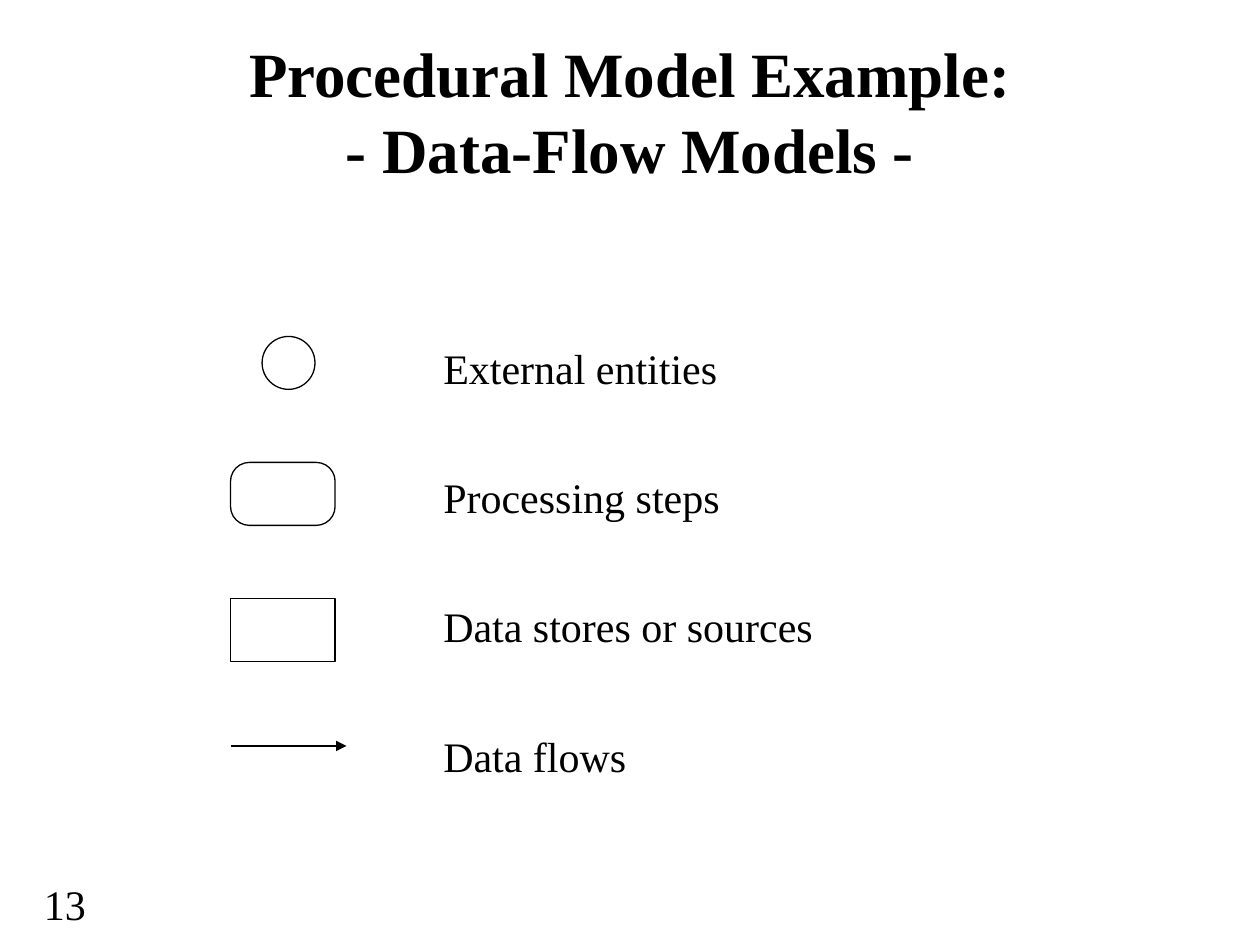
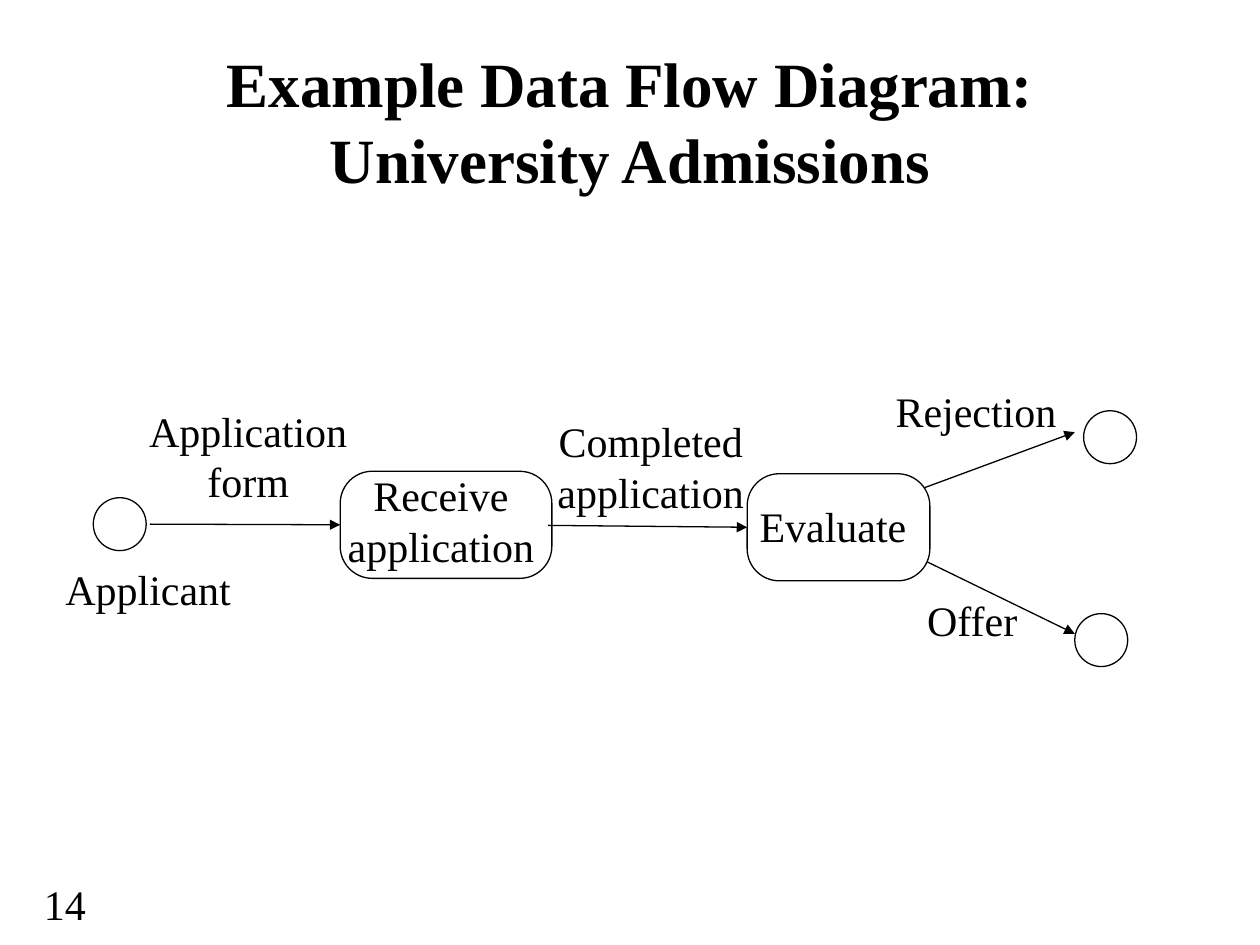
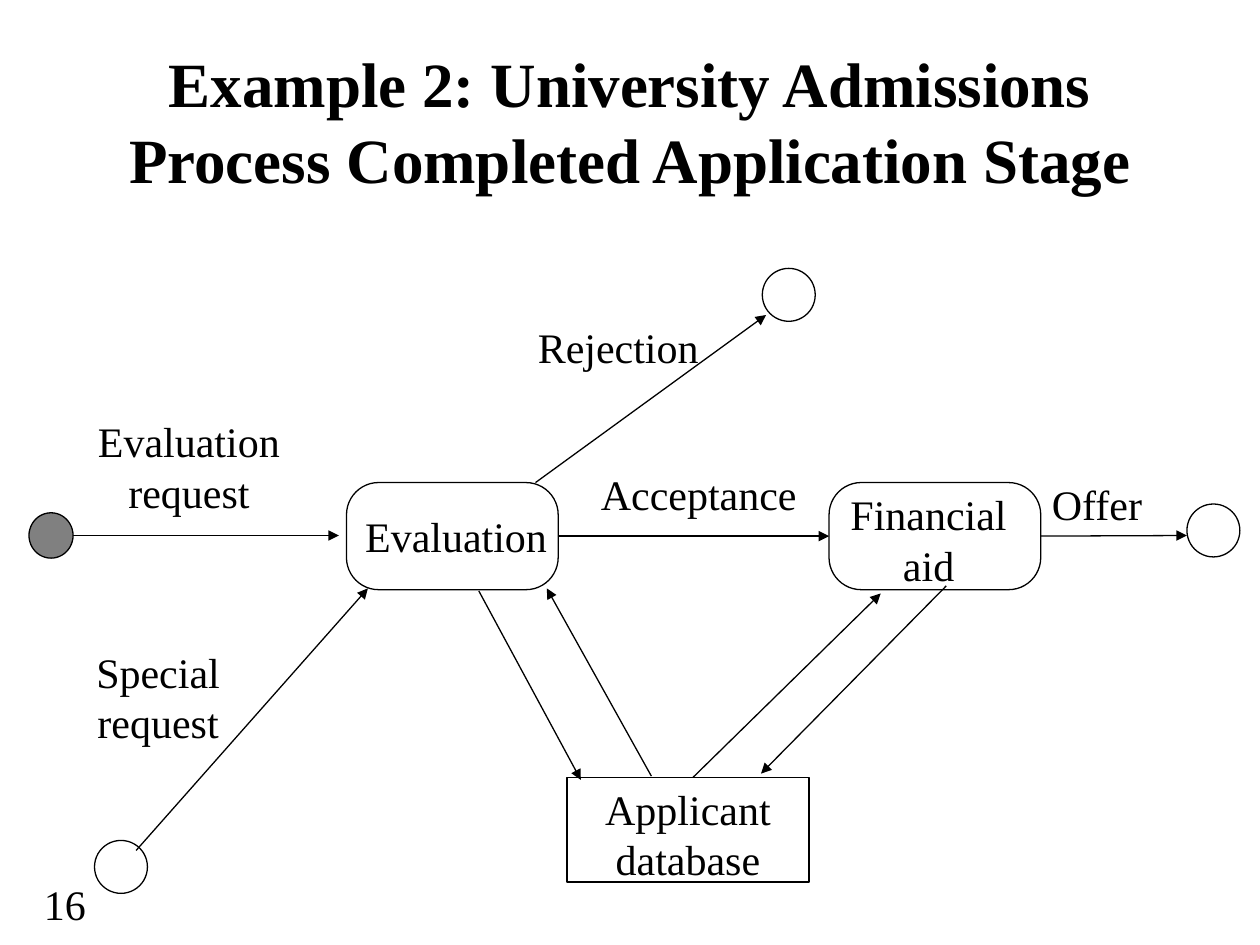
from lxml.etree import SubElement
from pptx import Presentation
from pptx.dml.color import RGBColor
from pptx.enum.shapes import MSO_CONNECTOR, MSO_SHAPE
from pptx.enum.text import MSO_ANCHOR, MSO_AUTO_SIZE, PP_ALIGN
from pptx.oxml.ns import qn
from pptx.util import Inches, Pt

COLORS = {"ink": "000000", "paper": "FFFFFF", "start": "808080"}
FONT = "Times New Roman"
TEXT_SIZE, TITLE_SIZE = 24, 36
LINE_WIDTH = 0.75
CIRCLE = 0.42
JOIN_TOLERANCE = 0.025

ENTITY = MSO_SHAPE.FLOWCHART_CONNECTOR
STEP = MSO_SHAPE.ROUNDED_RECTANGLE
STORE = MSO_SHAPE.FLOWCHART_PROCESS
LEFT, CENTER = PP_ALIGN.LEFT, PP_ALIGN.CENTER

# Content: nodes are (kind, left, top, width, height, fill),
# flows are (start, end), labels are (left, top, width, align, lines)
SLIDES = [
    {
        "number": "13",
        "title": ["Procedural Model Example:", "- Data-Flow Models -"],
        "title_top": 0.25,
        "nodes": [
            (ENTITY, 2.08, 2.67, CIRCLE, CIRCLE, None),
            (STEP, 1.83, 3.67, 0.83, 0.5, None),
            (STORE, 1.83, 4.75, 0.83, 0.5, None),
        ],
        "flows": [((1.83, 5.92), (2.75, 5.92))],
        "labels": [
            (3.42, 2.67, 5.83, LEFT, ["External entities", "Processing steps",
                                      "Data stores or sources", "Data flows"]),
        ],
        "label_gap": 45,
    },
    {
        "number": "14",
        "title": ["Example Data Flow Diagram: University Admissions"],
        "title_top": 0.33,
        "nodes": [
            (ENTITY, 0.74, 3.95, CIRCLE, CIRCLE, None),
            (STEP, 2.7, 3.74, 1.68, 0.85, None),
            (STEP, 5.93, 3.76, 1.45, 0.85, "paper"),
            (ENTITY, 8.6, 3.26, CIRCLE, CIRCLE, None),
            (ENTITY, 8.53, 4.87, CIRCLE, CIRCLE, None),
        ],
        "flows": [
            ((1.19, 4.16), (2.7, 4.16)),
            ((4.35, 4.17), (5.95, 4.18)),
            ((7.34, 3.87), (8.53, 3.43)),
            ((7.36, 4.46), (8.53, 5.03)),
        ],
        "labels": [
            (0.42, 4.42, 1.58, LEFT, ["Applicant"]),
            (0.93, 3.17, 2.08, CENTER, ["Application", "form"]),
            (2.25, 3.68, 2.5, CENTER, ["Receive", "application"]),
            (4, 3.25, 2.33, CENTER, ["Completed", "application"]),
            (5.93, 3.92, 1.58, LEFT, ["Evaluate"]),
            (7.01, 3.01, 1.67, LEFT, ["Rejection"]),
            (7.26, 4.67, 1.08, LEFT, ["Offer"]),
        ],
    },
    {
        "number": "16",
        "title": ["Example 2: University Admissions",
                  "Process Completed Application Stage"],
        "title_top": 0.33,
        "nodes": [
            (ENTITY, 0.23, 4.07, 0.35, 0.36, "start"),
            (ENTITY, 0.75, 6.67, CIRCLE, CIRCLE, None),
            (STEP, 2.75, 3.83, 1.68, 0.85, None),
            (STORE, 4.5, 6.17, 1.92, 0.83, None),
            (ENTITY, 6.05, 2.13, CIRCLE, CIRCLE, None),
            (STEP, 6.58, 3.83, 1.68, 0.85, None),
            (ENTITY, 9.42, 4, CIRCLE, CIRCLE, None),
        ],
        "flows": [
            ((0.58, 4.25), (2.69, 4.25)),
            ((1.08, 6.75), (2.92, 4.67)),
            ((4.25, 3.83), (6.08, 2.5)),
            ((4.42, 4.25), (6.58, 4.25)),
            ((3.8, 4.69), (4.61, 6.19)),
            ((5.17, 6.16), (4.34, 4.67)),
            ((5.5, 6.17), (6.99, 4.71)),
            ((7.51, 4.65), (6.04, 6.14)),
            ((8.25, 4.25), (9.42, 4.25)),
        ],
        "labels": [
            (0.5, 3.25, 2, CENTER, ["Evaluation", "request"]),
            (0.42, 5.08, 1.67, CENTER, ["Special", "request"]),
            (4.17, 2.5, 1.75, LEFT, ["Rejection"]),
            (2.58, 4, 2.08, CENTER, ["Evaluation"]),
            (4.67, 3.67, 2.25, LEFT, ["Acceptance"]),
            (6.58, 3.83, 1.58, CENTER, ["Financial", "aid"]),
            (8.25, 3.75, 1.08, LEFT, ["Offer"]),
            (4.42, 6.17, 2.08, CENTER, ["Applicant", "database"]),
        ],
    },
]


def color(name):
    return RGBColor.from_string(COLORS[name])


def add_run(paragraph, text, size=TEXT_SIZE, bold=False):
    run = paragraph.add_run()
    run.text = text
    run.font.name = FONT
    run.font.size = Pt(size)
    run.font.bold = bold
    run.font.color.rgb = color("ink")


def add_title(slide, lines, top):
    title = slide.shapes.title
    title.left, title.top = Inches(0.75), Inches(top)
    title.width, title.height = Inches(8.5), Inches(1.25)
    frame = title.text_frame
    frame.auto_size = MSO_AUTO_SIZE.NONE
    frame.vertical_anchor = MSO_ANCHOR.MIDDLE
    paragraph = frame.paragraphs[0]
    paragraph.alignment = CENTER
    for i, line in enumerate(lines):
        if i:
            paragraph.add_line_break()
        add_run(paragraph, line, TITLE_SIZE, bold=True)


def add_label(slide, left, top, width, align, lines, gap=0):
    height = 0.1 + 0.4 * len(lines) + gap / 72 * (len(lines) - 1)
    label = slide.shapes.add_textbox(
        Inches(left), Inches(top), Inches(width), Inches(height))
    frame = label.text_frame
    frame.word_wrap = True
    frame.auto_size = MSO_AUTO_SIZE.SHAPE_TO_FIT_TEXT
    for i, line in enumerate(lines):
        paragraph = frame.add_paragraph() if i else frame.paragraphs[0]
        paragraph.alignment = align
        if i and gap:
            paragraph.space_before = Pt(gap)
        add_run(paragraph, line)


def add_node(slide, kind, left, top, width, height, fill):
    node = slide.shapes.add_shape(
        kind, Inches(left), Inches(top), Inches(width), Inches(height))
    node.shadow.inherit = False
    if kind == STEP:
        node.adjustments[0] = 0.3
    if fill:
        node.fill.solid()
        node.fill.fore_color.rgb = color(fill)
    else:
        node.fill.background()
    node.line.color.rgb = color("ink")
    node.line.width = Pt(LINE_WIDTH)
    return node


def find_side(point, boxes):
    """Return the box and side whose middle lies at the point, if any."""
    x, y = point
    for node, (kind, left, top, width, height, _) in boxes:
        if kind == ENTITY:
            continue
        middles = [(left + width / 2, top), (left, top + height / 2),
                   (left + width / 2, top + height),
                   (left + width, top + height / 2)]
        for side, (mx, my) in enumerate(middles):
            if max(abs(x - mx), abs(y - my)) < JOIN_TOLERANCE:
                return node, side
    return None


def add_flow(slide, start, end, boxes):
    flow = slide.shapes.add_connector(
        MSO_CONNECTOR.STRAIGHT, *(Inches(v) for v in start + end))
    for point, join in ((start, flow.begin_connect), (end, flow.end_connect)):
        side = find_side(point, boxes)
        if side:
            join(*side)
    flow.line.color.rgb = color("ink")
    flow.line.width = Pt(LINE_WIDTH)
    properties = flow.element.spPr
    SubElement(properties.find(qn("a:ln")), qn("a:tailEnd"), type="triangle")
    SubElement(properties, qn("a:effectLst"))


def main():
    deck = Presentation()
    deck.slide_width, deck.slide_height = Inches(10), Inches(7.5)
    title_only = deck.slide_layouts[5]
    for content in SLIDES:
        slide = deck.slides.add_slide(title_only)
        slide.background.fill.solid()
        slide.background.fill.fore_color.rgb = color("paper")
        # Page number and title
        add_label(slide, 0.25, 6.92, 0.83, LEFT, [content["number"]])
        add_title(slide, content["title"], content["title_top"])
        # Diagram
        boxes = [(add_node(slide, *node), node) for node in content["nodes"]]
        for start, end in content["flows"]:
            add_flow(slide, start, end, boxes)
        for label in content["labels"]:
            add_label(slide, *label, gap=content.get("label_gap", 0))
    deck.save("out.pptx")


if __name__ == "__main__":
    main()
